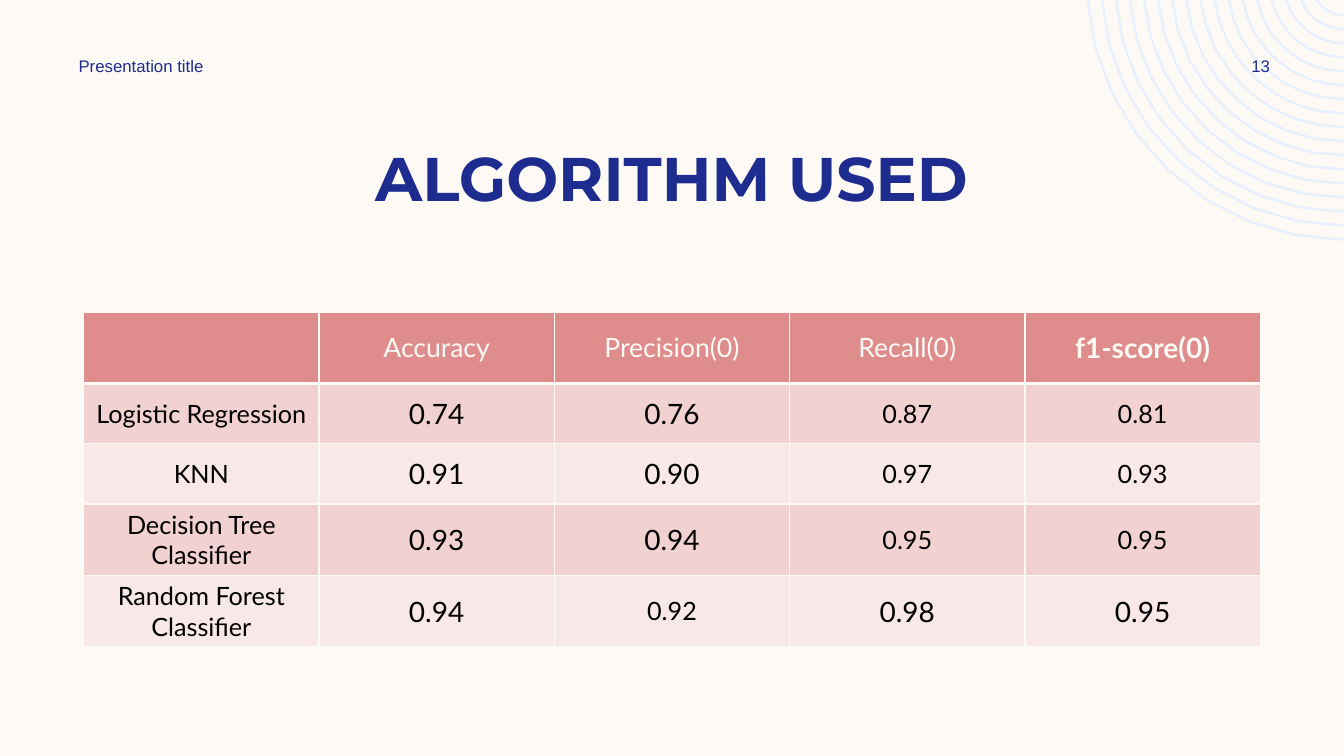
from dataclasses import dataclass
from math import asin, cos, pi, sin

from lxml.etree import SubElement
from pptx import Presentation
from pptx.dml.color import RGBColor
from pptx.enum.text import MSO_ANCHOR as Anchor, PP_ALIGN as Align
from pptx.oxml.ns import qn
from pptx.slide import Slide
from pptx.table import _Cell as Cell
from pptx.text.text import TextFrame
from pptx.util import Cm, Pt

CREAM = RGBColor(0xFD, 0xFA, 0xF6)
NAVY = RGBColor(0x1F, 0x2C, 0x8F)
BLACK = RGBColor(0, 0, 0)
PALE_BLUE = RGBColor(0xE6, 0xF0, 0xFE)
ROSE = RGBColor(0xDF, 0x8C, 0x8C)
PINK = RGBColor(0xF2, 0xD1, 0xD1)
LIGHT_PINK = RGBColor(0xF8, 0xE8, 0xE8)

SLIDE_WIDTH, SLIDE_HEIGHT = 33.87, 19.05

# Concentric rings, in centimetres
RING_COUNT = 17
RING_CENTER_Y = -0.43
OUTER_RADIUS, INNER_RADIUS = 6.5, 0.84
RING_THICKNESS = 0.06
ARC_STEPS = 8

COLUMN_WIDTH = 5.93


@dataclass
class Label:
    text: str
    left: float
    top: float
    width: float
    height: float
    font: str = "Arial"
    size: float = 12
    bold: bool = False
    align: Align = Align.CENTER


@dataclass
class TableRow:
    texts: tuple[str, ...]
    sizes: tuple[int, ...]
    fill: RGBColor
    height: float = 1.52
    color: RGBColor = BLACK
    bold_columns: tuple[int, ...] = ()
    top_border: float = 1
    bottom_border: float = 1


LABELS = [
    Label("ALGORITHM USED", 2.11, 3.38, 29.64, 2.13, font="Montserrat", size=44, bold=True),
    Label("Presentation title", 1.73, 1.27, 8.89, 0.76, align=Align.LEFT),
    Label("13", 30.4, 1.27, 2.74, 0.76),
]

ROWS = [
    TableRow(("", "Accuracy", "Precision(0)", "Recall(0)", "f1-score(0)"),
             (19, 19, 19, 19, 20), ROSE, height=1.8, color=CREAM,
             bold_columns=(4,), bottom_border=3),
    TableRow(("Logistic Regression", "0.74", "0.76", "0.87", "0.81"),
             (18, 20, 20, 18, 18), PINK, top_border=3),
    TableRow(("KNN", "0.91", "0.90", "0.97", "0.93"),
             (18, 20, 20, 18, 18), LIGHT_PINK),
    TableRow(("Decision Tree Classifier", "0.93", "0.94", "0.95", "0.95"),
             (18, 20, 20, 18, 18), PINK, height=1.8),
    TableRow(("Random Forest Classifier", "0.94", "0.92", "0.98", "0.95"),
             (18, 20, 18, 20, 20), LIGHT_PINK, height=1.8),
]


def write_text(frame: TextFrame, text: str, *, font: str, size: float, color: RGBColor,
               bold: bool = False, align: Align = Align.CENTER) -> None:
    paragraph = frame.paragraphs[0]
    paragraph.alignment = align
    run = paragraph.add_run()
    run.text = text
    run.font.name = font
    run.font.size = Pt(size)
    run.font.bold = bold
    run.font.color.rgb = color


def add_label(slide: Slide, label: Label) -> None:
    box = slide.shapes.add_textbox(Cm(label.left), Cm(label.top), Cm(label.width), Cm(label.height))
    frame = box.text_frame
    frame.word_wrap = True
    frame.vertical_anchor = Anchor.MIDDLE
    write_text(frame, label.text, font=label.font, size=label.size, color=NAVY,
               bold=label.bold, align=label.align)


def arc_points(radius: float) -> list[tuple[int, int]]:
    """Points from the slide's top edge down to its right edge."""
    start = asin(-RING_CENTER_Y / radius)
    angles = [start + (pi / 2 - start) * step / ARC_STEPS for step in range(ARC_STEPS + 1)]
    return [(Cm(SLIDE_WIDTH - radius * cos(angle)), Cm(RING_CENTER_Y + radius * sin(angle)))
            for angle in angles]


def add_rings(slide: Slide) -> None:
    pitch = (OUTER_RADIUS - INNER_RADIUS) / (RING_COUNT - 1)
    builder = None
    for index in range(RING_COUNT):
        radius = OUTER_RADIUS - index * pitch
        outline = arc_points(radius) + arc_points(radius - RING_THICKNESS)[::-1]
        if builder is None:
            builder = slide.shapes.build_freeform(*outline[0])
        else:
            builder.move_to(*outline[0])
        builder.add_line_segments(outline[1:], close=True)
    rings = builder.convert_to_shape()
    rings.shadow.inherit = False
    rings.fill.solid()
    rings.fill.fore_color.rgb = PALE_BLUE
    rings.line.fill.background()


def set_borders(cell: Cell, top: float, bottom: float) -> None:
    properties = cell._tc.get_or_add_tcPr()
    for side, width in (("L", 1), ("R", 1), ("T", top), ("B", bottom)):
        line = SubElement(properties, qn(f"a:ln{side}"), w=str(int(Pt(width))))
        fill = SubElement(line, qn("a:solidFill"))
        SubElement(fill, qn("a:srgbClr"), val=str(CREAM))


def add_score_table(slide: Slide, rows: list[TableRow]) -> None:
    column_count = len(rows[0].texts)
    table = slide.shapes.add_table(
        len(rows), column_count, Cm(2.11), Cm(7.86),
        Cm(COLUMN_WIDTH * column_count), Cm(sum(row.height for row in rows))).table
    table.first_row = table.horz_banding = False
    for column in table.columns:
        column.width = Cm(COLUMN_WIDTH)
    for row_index, row in enumerate(rows):
        table.rows[row_index].height = Cm(row.height)
        for column_index, (text, size) in enumerate(zip(row.texts, row.sizes)):
            cell = table.cell(row_index, column_index)
            cell.margin_left = cell.margin_right = Cm(0.28)
            cell.margin_top = cell.margin_bottom = Cm(0.13)
            cell.vertical_anchor = Anchor.MIDDLE
            set_borders(cell, row.top_border, row.bottom_border)
            cell.fill.solid()
            cell.fill.fore_color.rgb = row.fill
            if text:
                write_text(cell.text_frame, text, font="Lato", size=size, color=row.color,
                           bold=column_index in row.bold_columns)


def main() -> None:
    presentation = Presentation()
    presentation.slide_width = Cm(SLIDE_WIDTH)
    presentation.slide_height = Cm(SLIDE_HEIGHT)
    slide = presentation.slides.add_slide(presentation.slide_layouts[6])

    # Background and corner decoration
    slide.background.fill.solid()
    slide.background.fill.fore_color.rgb = CREAM
    add_rings(slide)

    # Title, header text and page number
    for label in LABELS:
        add_label(slide, label)

    # Scores by algorithm
    add_score_table(slide, ROWS)

    presentation.save("out.pptx")


if __name__ == "__main__":
    main()
